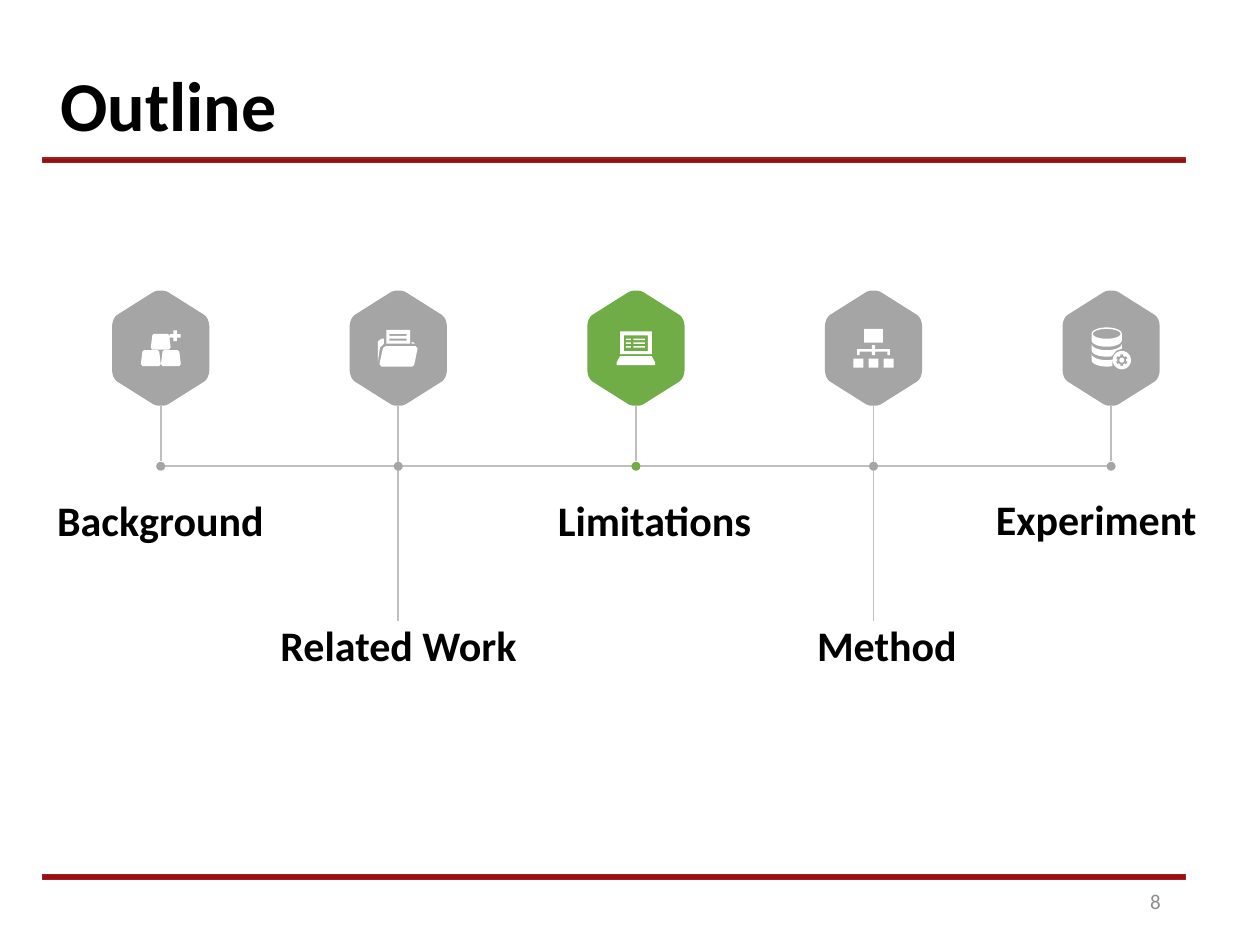
from math import cos, radians, sin

from lxml import etree
from pptx import Presentation
from pptx.dml.color import RGBColor
from pptx.enum.shapes import MSO_CONNECTOR, MSO_SHAPE
from pptx.enum.text import MSO_ANCHOR, PP_ALIGN
from pptx.oxml.ns import qn
from pptx.util import Cm, Pt

RECT, OVAL = MSO_SHAPE.RECTANGLE, MSO_SHAPE.OVAL
STRAIGHT = MSO_CONNECTOR.STRAIGHT
LEFT, CENTER, RIGHT = PP_ALIGN.LEFT, PP_ALIGN.CENTER, PP_ALIGN.RIGHT
TOP, MIDDLE = MSO_ANCHOR.TOP, MSO_ANCHOR.MIDDLE

FONT = "Calibri"
BLACK, WHITE, GRAY, GREEN = "000000", "FFFFFF", "A5A5A5", "70AD47"
LINE_GRAY, PAGE_GRAY, RED, DARK_RED = "BFBFBF", "8C8C8C", "9C0C13", "9C2220"
FIRST_X, STEP = 3.24, 4.79
HEX_Y, HEX_BOTTOM, AXIS_Y = 7.02, 8.18, 9.4
DOT, SHORT_END, LONG_END = 0.18, 9.3, 12.52


def rgb(value):
    """Turn a hex string into a colour."""
    return RGBColor.from_string(value)


def paint(sp, fill, line=None):
    """Set a shape's fill and outline and drop its shadow."""
    sp.shadow.inherit = False
    sp.fill.solid()
    sp.fill.fore_color.rgb = rgb(fill)
    if line:
        sp.line.color.rgb = rgb(line)
        sp.line.width = Pt(1)
    else:
        sp.line.fill.background()


def add_preset(s, kind, x, y, w, h, fill, line=None):
    """Add a painted preset shape."""
    sp = s.shapes.add_shape(kind, Cm(x), Cm(y), Cm(w), Cm(h))
    paint(sp, fill, line)


def add_line(s, x1, y1, x2, y2):
    """Add a thin gray line."""
    c = s.shapes.add_connector(STRAIGHT, Cm(x1), Cm(y1), Cm(x2), Cm(y2))
    c.line.color.rgb = rgb(LINE_GRAY)
    c.line.width = Pt(1)
    etree.SubElement(c._element.spPr, qn("a:effectLst"))


def add_text(s, box, text, size, color=BLACK, bold=True, align=CENTER, anchor=MIDDLE, inset=0):
    """Add a one-line text box."""
    tf = s.shapes.add_textbox(*[Cm(v) for v in box]).text_frame
    tf.word_wrap = True
    tf.vertical_anchor = anchor
    tf.margin_left = tf.margin_right = Cm(inset)
    p = tf.paragraphs[0]
    p.alignment = align
    r = p.add_run()
    r.text = text
    r.font.name, r.font.size, r.font.bold = FONT, Pt(size), bold
    r.font.color.rgb = rgb(color)


def add_outline(s, x, y, contours, fill):
    """Add one freeform from contours given in millimetres around x, y."""
    placed = [[(Cm(x + dx / 10), Cm(y + dy / 10)) for dx, dy in c] for c in contours]
    builder = s.shapes.build_freeform(*placed[0][0])
    for i, points in enumerate(placed):
        if i:
            builder.move_to(*points[0])
        builder.add_line_segments(points[1:], close=True)
    paint(builder.convert_to_shape(), fill)


def rect(x1, y1, x2, y2):
    """Return a rectangle contour."""
    return [(x1, y1), (x2, y1), (x2, y2), (x1, y2)]


def arc(cx, cy, rx, ry, start=0, end=360, steps=24):
    """Return points along an elliptical arc."""
    angles = [radians(start + (end - start) * i / steps) for i in range(steps + 1)]
    return [(cx + rx * cos(a), cy + ry * sin(a)) for a in angles]


def shift(points, dx, dy):
    """Move a contour."""
    return [(x + dx, y + dy) for x, y in points]


def mirror(half):
    """Complete a right half, listed from top to bottom, with its left half."""
    return half + [(-x, y) for x, y in reversed(half)]


def hexagon():
    """Return a hexagon with rounded corners."""
    quarter = [(0.5, -11.6), (1, -11.5), (1.5, -11.3), (8.8, -6.7), (9.2, -6.3),
               (9.5, -5.8), (9.7, -5.2), (9.8, -4.5)]
    return mirror(quarter + [(x, -y) for x, y in reversed(quarter)])


def bricks_icon():
    """Return three stacked blocks and a plus."""
    block = mirror([(1.4, 0.4), (1.7, 0.7), (2, 3.2), (1.7, 3.6)])
    plus = mirror([(0.35, -1.1), (0.35, -0.35), (1.1, -0.35), (1.1, 0.35),
                   (0.35, 0.35), (0.35, 1.1)])
    offsets = [(-2, 0), (2.05, 0), (0, -3.3)]
    return [shift(block, *o) for o in offsets] + [shift(plus, 2.9, -2.5)]


def folder_icon():
    """Return an open folder holding a sheet."""
    front = [(-2.6, -0.4), (3.5, -0.4), (3.9, 0), (3.2, 3.4), (2.8, 3.7),
             (-3.4, 3.7), (-3.8, 3.2), (-3.1, 0)]
    back = [(-3.7, -0.1), (-2.9, -0.9), (-2.9, -1.9), (-3.4, -1.9), (-4.1, -1.4), (-4.1, 2.7)]
    tab = [(2.7, -1.2), (3, -1.2), (3.4, -0.9), (2.7, -0.9)]
    lines = [rect(-1.8, y, 1.7, y + 0.4) for y in (-2.9, -1.9)]
    return [front, back, tab, rect(-2.4, -3.7, 2.4, -0.9)] + lines


def laptop_icon():
    """Return a laptop with a list on its screen."""
    base = mirror([(3.2, 1.6), (3.9, 2.9), (3.9, 3.4)])
    rows = [rect(x1, y, x2, y + 0.3) for y in (-1.9, -1.15, -0.4)
            for x1, x2 in ((-2, -1), (-0.5, 1.8))]
    return [base, rect(-3.2, -3.4, 3.2, 1.2), rect(-2.4, -2.6, 2.4, 0.6)] + rows


def network_icon():
    """Return a box that branches into three."""
    bus = mirror([(0.3, -0.6), (0.3, 0.2), (3.3, 0.2), (3.3, 1.4), (2.8, 1.4),
                  (2.8, 0.7), (0.3, 0.7), (0.3, 1.4)])
    children = [rect(x - 1, 2.1, x + 1, 3.9) for x in (-3.05, 0, 3.05)]
    return [rect(-1.9, -3.9, 1.9, -1.1), bus] + children


def database_icon():
    """Return a three-part cylinder with a gear."""
    cx, rx, ry = -0.9, 3.05, 1.3
    gx, gy = 2.15, 2.4
    top = arc(cx, -2.9, rx, ry, 180, 360) + arc(cx, -1.6, rx, ry, 0, 180)
    middle = (arc(cx, -0.9, rx, ry, 180, 0) + [(gx, 0.1), (1, 0.5)]
              + arc(cx, 0.4, rx, ry, 70, 180))
    bottom = arc(cx, 1.1, rx, ry, 180, 68) + arc(cx, 2.4, rx, ry, 68, 180)
    gear = [(gx + r * cos(radians(a + d)), gy + r * sin(radians(a + d)))
            for a in range(30, 390, 60)
            for r, d in ((0.9, -18), (1.2, -14), (1.2, 14), (0.9, 18))]
    return [top, arc(cx, -2.9, 2.8, 1), middle, bottom,
            arc(gx, gy, 1.85, 1.85), gear, arc(gx, gy, 0.5, 0.5)]


def add_step(s, x, label, box, icon, color, stem_end):
    """Add one outline step: badge, icon, stem, dot and label."""
    add_outline(s, x, HEX_Y, [hexagon()], color)
    add_outline(s, x, HEX_Y, icon, WHITE)
    add_line(s, x, HEX_BOTTOM, x, stem_end)
    add_preset(s, OVAL, x - DOT / 2, AXIS_Y - DOT / 2, DOT, DOT, color)
    add_text(s, box, label, 24)


def main():
    """Build the outline slide."""
    prs = Presentation()
    prs.slide_width, prs.slide_height = Cm(25.4), Cm(19.05)
    s = prs.slides.add_slide(prs.slide_layouts[6])
    for y in (3.18, 17.63):
        add_preset(s, RECT, 0.86, y, 23.04, 0.1, RED, DARK_RED)
    add_text(s, (0.84, 1.12, 8.2, 1.96), "Outline", 40, align=LEFT, anchor=TOP, inset=0.38)
    add_text(s, (17.93, 17.65, 5.72, 1.02), "8", 12, PAGE_GRAY, False, RIGHT, inset=0.25)
    add_line(s, FIRST_X, AXIS_Y, FIRST_X + 4 * STEP, AXIS_Y)
    steps = [
        ("Background", (0.86, 9.93, 4.75, 1.09), bricks_icon(), GRAY, SHORT_END),
        ("Related Work", (5.05, 12.27, 5.97, 1.45), folder_icon(), GRAY, LONG_END),
        ("Limitations", (10.31, 10.03, 5.77, 0.89), laptop_icon(), GREEN, SHORT_END),
        ("Method", (15.49, 12.37, 4.78, 1.27), network_icon(), GRAY, LONG_END),
        ("Experiment", (19.71, 9.88, 4.78, 1.17), database_icon(), GRAY, SHORT_END),
    ]
    for i, step in enumerate(steps):
        add_step(s, FIRST_X + i * STEP, *step)
    prs.save("out.pptx")


if __name__ == "__main__":
    main()
